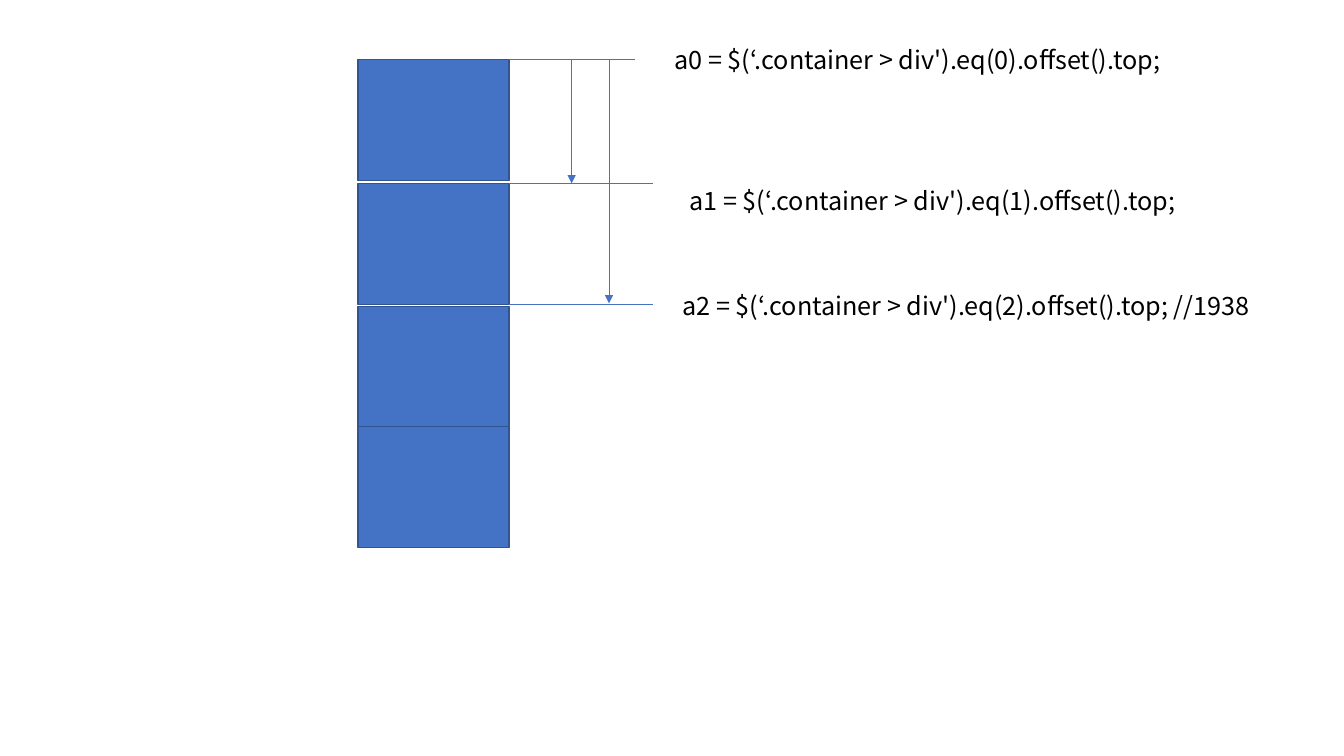
from lxml import etree
from pptx import Presentation
from pptx.dml.color import RGBColor
from pptx.enum import shapes, text
from pptx.oxml import ns
from pptx.util import Inches, Pt

BLUE = RGBColor(0x44, 0x72, 0xC4)
DARK_BLUE = RGBColor(0x32, 0x54, 0x91)
BLACK = RGBColor(0, 0, 0)
FONT = "Noto Sans CJK KR"

BLOCK_LEFT, BLOCK_WIDTH, BLOCK_HEIGHT = 3.55, 1.5, 1.2
BLOCK_TOPS = [0.59, 1.82, 3.04, 4.23]
GUIDES = [(0.59, 6.3), (1.82, 6.48), (3.02, 6.48)]
OFFSET_ARROWS = [(5.67, 1.82), (6.04, 3.01)]
FORMULAS = [
    ("a0 = $(‘.container > div').eq(0).offset().top;", 6.59, 0.39, 5.04),
    ("a1 = $(‘.container > div').eq(1).offset().top;", 6.74, 1.79, 5.06),
    ("a2 = $(‘.container > div').eq(2).offset().top; //1938", 6.67, 2.83, 5.97),
]


def add_block(slide, top):
    block = slide.shapes.add_shape(
        shapes.MSO_SHAPE.RECTANGLE,
        *map(Inches, (BLOCK_LEFT, top, BLOCK_WIDTH, BLOCK_HEIGHT)))
    block.shadow.inherit = False
    block.fill.solid()
    block.fill.fore_color.rgb = BLUE
    block.line.color.rgb = DARK_BLUE
    block.line.width = Pt(1)


def add_line(slide, start, end, arrow=False):
    line = slide.shapes.add_connector(
        shapes.MSO_CONNECTOR.STRAIGHT, *map(Inches, start + end))
    line.line.color.rgb = BLUE
    line.line.width = Pt(0.5)
    if arrow:
        etree.SubElement(line.line._get_or_add_ln(), ns.qn("a:tailEnd"), type="triangle")
    etree.SubElement(line._element.spPr, ns.qn("a:effectLst"))


def add_text(slide, content, left, top, width, height=0.4, size=18, color=BLACK):
    box = slide.shapes.add_textbox(*map(Inches, (left, top, width, height)))
    frame = box.text_frame
    frame.word_wrap = False
    frame.auto_size = text.MSO_AUTO_SIZE.SHAPE_TO_FIT_TEXT
    run = frame.paragraphs[0].add_run()
    run.text = content
    run.font.name = FONT
    run.font.size = Pt(size)
    run.font.color.rgb = color
    etree.SubElement(run.font._element, ns.qn("a:ea"), typeface=FONT)


def main():
    presentation = Presentation()
    presentation.slide_width = Inches(13.33)
    presentation.slide_height = Inches(7.5)
    slide = presentation.slides.add_slide(presentation.slide_layouts[6])

    for top in BLOCK_TOPS:
        add_block(slide, top)
    for y, right in GUIDES:
        add_line(slide, (BLOCK_LEFT + BLOCK_WIDTH, y), (right, y))
    for x, bottom in OFFSET_ARROWS:
        add_line(slide, (x, BLOCK_TOPS[0]), (x, bottom), arrow=True)
    for content, left, top, width in FORMULAS:
        add_text(slide, content, left, top, width)

    presentation.save("out.pptx")


if __name__ == "__main__":
    main()
